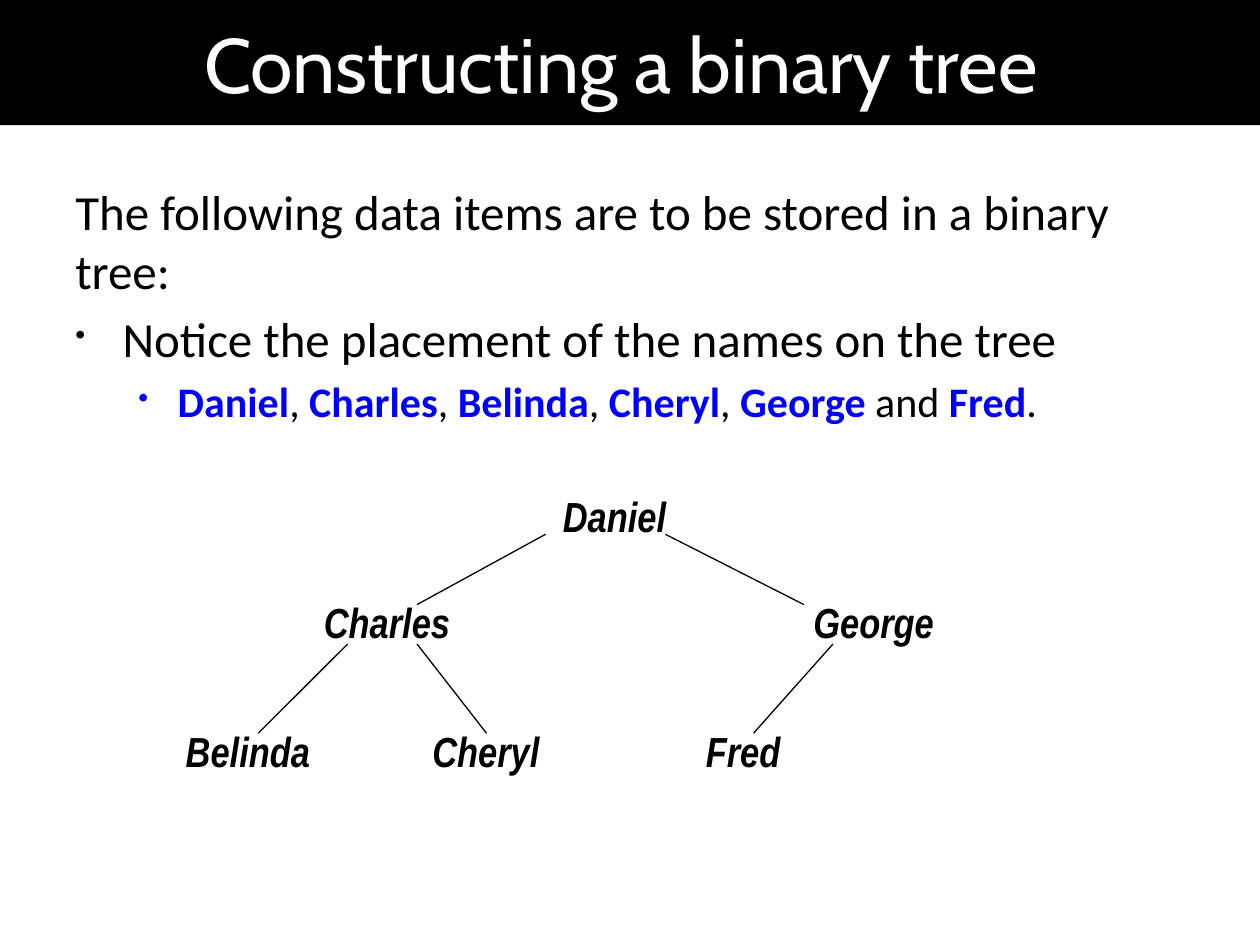
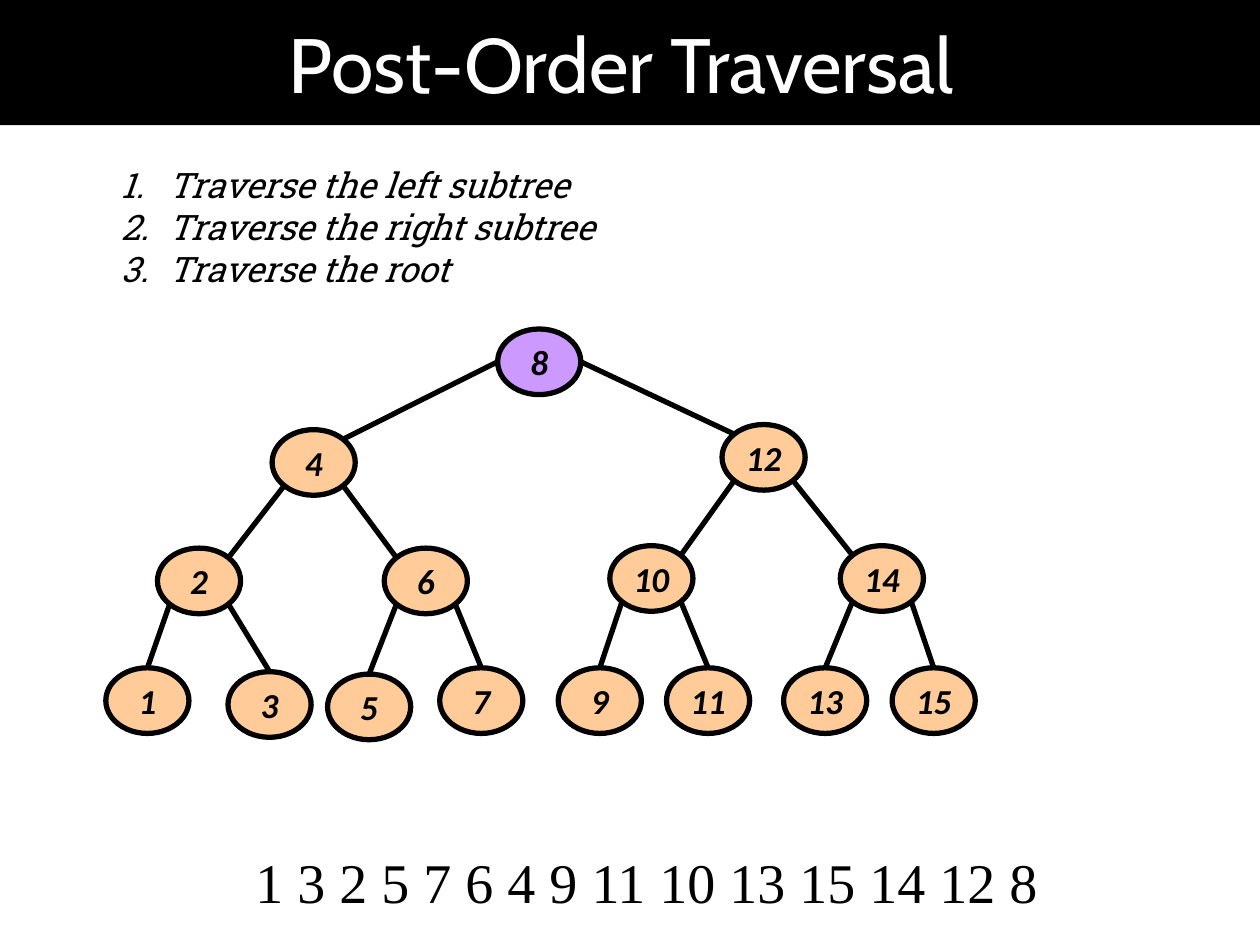
from math import sqrt

from lxml.etree import SubElement
from pptx import Presentation
from pptx.dml.color import RGBColor
from pptx.enum.shapes import MSO_CONNECTOR as Connector, MSO_SHAPE as Shape
from pptx.enum.text import MSO_ANCHOR as Anchor, PP_ALIGN as Align
from pptx.oxml.ns import qn
from pptx.util import Pt

COLOURS = {
    "black": "000000",
    "white": "FFFFFF",
    "blue": "0000FF",
    "root": "CC99FF",
    "node": "FFCC99",
}
WIDTH, HEIGHT = 720, 540
BAND_HEIGHT = 71.5
NODE_WIDTH, NODE_HEIGHT = 47.5, 37.5
LABEL_WIDTH, LABEL_HEIGHT = 158.4, 36


def colour(name):
    return RGBColor.from_string(COLOURS[name])


class Lecture:
    def __init__(self):
        self.deck = Presentation()
        self.deck.slide_width, self.deck.slide_height = Pt(WIDTH), Pt(HEIGHT)
        self.page = None

    def add_page(self, title):
        self.page = self.deck.slides.add_slide(self.deck.slide_layouts[6])
        self.shape(Shape.RECTANGLE, 0, 0, WIDTH, BAND_HEIGHT, "black")
        frame = self.text_box(31, 0, 648, BAND_HEIGHT, anchor=Anchor.MIDDLE)
        self.span(self.para(frame, Align.CENTER), title, "Cabin", 44, "white")

    def shape(self, kind, left, top, width, height, fill, line_width=0):
        shape = self.page.shapes.add_shape(kind, Pt(left), Pt(top), Pt(width), Pt(height))
        shape.shadow.inherit = False
        shape.fill.solid()
        shape.fill.fore_color.rgb = colour(fill)
        if line_width:
            shape.line.color.rgb = colour("black")
            shape.line.width = Pt(line_width)
        else:
            shape.line.fill.background()
        return shape

    def text_box(self, left, top, width, height, wrap=True, anchor=Anchor.TOP):
        box = self.page.shapes.add_textbox(Pt(left), Pt(top), Pt(width), Pt(height))
        frame = box.text_frame
        frame.word_wrap = wrap
        frame.vertical_anchor = anchor
        return frame

    def para(self, frame, align=Align.LEFT, before=0):
        para = frame.paragraphs[0]
        if para.runs:
            para = frame.add_paragraph()
            para.space_before = Pt(before)
        para.alignment = align
        return para

    def bullet(self, para, margin, hanging, size=100, char=None):
        props = para._p.get_or_add_pPr()
        props.set("marL", str(Pt(margin)))
        props.set("indent", str(-Pt(hanging)))
        SubElement(props, qn("a:buSzPct")).set("val", str(size * 1000))
        if char:
            SubElement(props, qn("a:buChar")).set("char", char)
        else:
            SubElement(props, qn("a:buAutoNum")).set("type", "arabicPeriod")

    def span(self, para, text, font, size, shade="black", bold=False, italic=False):
        span = para.add_run()
        span.text = text
        span.font.name = font
        span.font.size = Pt(size)
        span.font.bold = bold
        span.font.italic = italic
        span.font.color.rgb = colour(shade)

    def label(self, text, left, top):
        frame = self.text_box(left, top, LABEL_WIDTH, LABEL_HEIGHT)
        self.span(self.para(frame, Align.CENTER), text, "Arial Narrow", 24, bold=True, italic=True)

    def node(self, value, left, top, fill):
        ellipse = self.shape(Shape.OVAL, left, top, NODE_WIDTH, NODE_HEIGHT, fill, 3)
        frame = ellipse.text_frame
        frame.word_wrap = False
        frame.vertical_anchor = Anchor.MIDDLE
        self.span(self.para(frame, Align.CENTER), str(value), "Calibri", 20, bold=True, italic=True)

    def line(self, start, end, width):
        points = [Pt(length) for length in (*start, *end)]
        line = self.page.shapes.add_connector(Connector.STRAIGHT, *points)
        line.line.color.rgb = colour("black")
        line.line.width = Pt(width)
        SubElement(line._element.spPr, qn("a:effectLst"))


def add_construction(lecture):
    lecture.add_page("Constructing a binary tree")
    frame = lecture.text_box(36, 100, 648, 404)
    lecture.span(lecture.para(frame), "The following data items are to be stored in a binary tree:",
                 "Calibri", 28)
    notice = lecture.para(frame, before=5.6)
    lecture.bullet(notice, 27, 27, 60, "•")
    lecture.span(notice, "Notice the placement of the names on the tree", "Calibri", 28)
    names = lecture.para(frame, before=4.8)
    names.level = 1
    lecture.bullet(names, 58.5, 22.5, 70, "•")
    for name, separator in [("Daniel", ", "), ("Charles", ", "), ("Belinda", ", "),
                            ("Cheryl", ", "), ("George", " and "), ("Fred", ".")]:
        lecture.span(names, name, "Calibri", 24, "blue", bold=True)
        lecture.span(names, separator, "Calibri", 24)

    levels = [
        (277, {"Daniel": 272}),
        (337.5, {"Charles": 142, "George": 420}),
        (411, {"Belinda": 62.5, "Cheryl": 198.5, "Fred": 345.5}),
    ]
    for top, labels in levels:
        for name, left in labels.items():
            lecture.label(name, left, top)

    branches = [
        (305.3, 345.5, [(311.8, 238.3), (380.2, 459.4)]),
        (368, 419, [(198.7, 147.6), (238.3, 278), (476, 430.6)]),
    ]
    for top, bottom, pairs in branches:
        for start, end in pairs:
            lecture.line((start, top), (end, bottom), 0.75)


def add_traversal(lecture):
    lecture.add_page("Post-Order Traversal")
    frame = lecture.text_box(62, 90, 360, 80)
    for step in ("Traverse the left subtree", "Traverse the right subtree", "Traverse the root"):
        para = lecture.para(frame)
        lecture.bullet(para, 27, 27)
        lecture.span(para, step, "Roboto Slab", 20, italic=True)

    nodes = {
        8: (284.4, 188), 4: (155.5, 245.5), 12: (412.6, 242.6),
        2: (90, 313.2), 6: (219.6, 313.2), 10: (348.5, 311.8), 14: (480.2, 311.8),
        1: (60.5, 381.6), 3: (130.3, 383.8), 5: (187.2, 385.2), 7: (251.3, 381.6),
        9: (319, 381.6), 11: (380.9, 381.6), 13: (447.8, 381.6), 15: (509.8, 381.6),
    }
    root = 8

    def rim(value, across, down):
        left, top = nodes[value]
        reach = sqrt(across ** 2 + down ** 2)
        return (left + NODE_WIDTH / 2 * (1 + across / reach),
                top + NODE_HEIGHT / 2 * (1 + down / reach))

    for value, (left, top) in nodes.items():
        lecture.node(value, left, top, "root" if value == root else "node")
        step = (value & -value) // 2
        for side in (-1, 1) if step else ():
            start = rim(value, side, 0 if value == root else 1)
            end = rim(value + side * step, -side if step > 1 else 0, -1)
            lecture.line(start, end, 3)

    frame = lecture.text_box(136.8, 481, 465.8, 46, wrap=False)
    lecture.span(lecture.para(frame, Align.CENTER), "1 3 2 5 7 6 4 9 11 10 13 15 14 12 8",
                 "Times New Roman", 32)


def main():
    lecture = Lecture()
    add_construction(lecture)
    add_traversal(lecture)
    lecture.deck.save("out.pptx")


if __name__ == "__main__":
    main()
